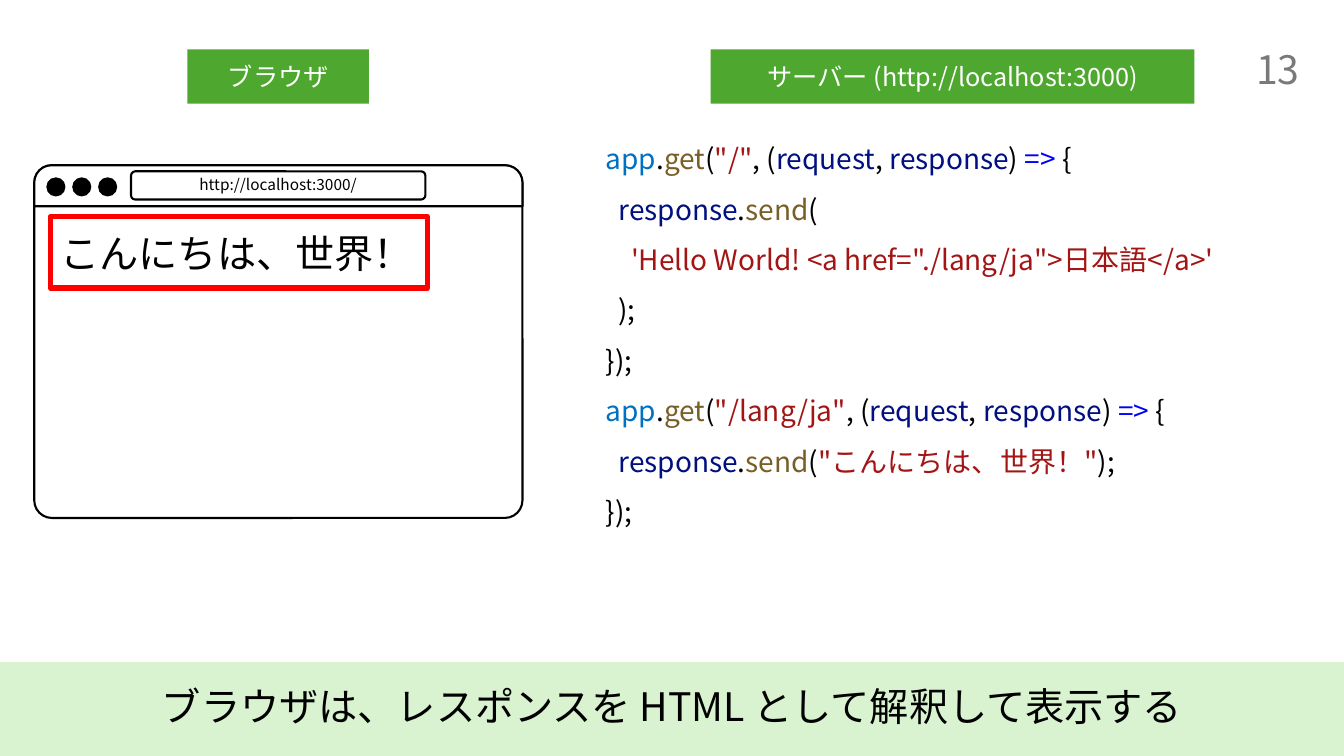
from lxml import etree
from pptx import Presentation
from pptx.dml.color import RGBColor
from pptx.enum.shapes import MSO_SHAPE
from pptx.enum.text import MSO_ANCHOR, PP_ALIGN
from pptx.oxml.ns import qn
from pptx.util import Inches, Pt

RECT, ROUND, OVAL = MSO_SHAPE.RECTANGLE, MSO_SHAPE.ROUNDED_RECTANGLE, MSO_SHAPE.OVAL
TAB = MSO_SHAPE.ROUND_2_SAME_RECTANGLE
LEFT, MID, RIGHT = PP_ALIGN.LEFT, PP_ALIGN.CENTER, PP_ALIGN.RIGHT
TOP, CENTER = MSO_ANCHOR.TOP, MSO_ANCHOR.MIDDLE
FACE = "Noto Sans CJK JP"
BLACK, WHITE, GREEN, PALE, RED = "000000", "FFFFFF", "4EA72E", "D9F2D0", "FF0000"
BLUE, BROWN, BRICK, NAVY, ARROW = "0070C1", "795E26", "A31515", "001080", "0000FF"

hue = RGBColor.from_string
deck = Presentation()
deck.slide_width, deck.slide_height = Inches(13.33), Inches(7.5)
slide = deck.slides.add_slide(deck.slide_layouts[6])
cell = deck.slide_width / 40
indent = Inches(0.125)


def draw(kind, box, fill=None, line=None, weight=1.5, bend=None):
    shape = slide.shapes.add_shape(kind, *[round(n * cell) for n in box])
    shape.shadow.inherit = False
    if fill:
        shape.fill.solid()
        shape.fill.fore_color.rgb = hue(fill)
    else:
        shape.fill.background()
    if line:
        shape.line.color.rgb = hue(line)
        shape.line.width = Pt(weight)
    else:
        shape.line.fill.background()
    if bend is not None:
        shape.adjustments[0] = bend
    return shape


def write(shape, lines, size, align=MID, anchor=CENTER, space=1.0):
    frame = shape.text_frame
    frame.word_wrap = True
    frame.vertical_anchor = anchor
    frame.margin_left = frame.margin_right = frame.margin_top = frame.margin_bottom = 0
    for row, (depth, parts) in enumerate(lines):
        para = frame.paragraphs[0] if row == 0 else frame.add_paragraph()
        para.alignment, para.line_spacing = align, space
        para._p.get_or_add_pPr().set("marL", str(round(depth * indent)))
        para.font.size, para.font.name = Pt(size), FACE
        etree.SubElement(para.font._element, qn("a:ea"), typeface=FACE)
        for text, ink in parts:
            run = para.add_run()
            run.text = text
            run.font.color.rgb = hue(ink)


draw(ROUND, (1.02, 4.92, 14.53, 10.5), WHITE, BLACK, bend=0.05)
draw(TAB, (1.02, 4.92, 14.53, 1.22), WHITE, BLACK, bend=0.42)
for dot in range(3):
    draw(OVAL, (1.38 + 0.77 * dot, 5.28, 0.57, 0.57), BLACK)
field = draw(ROUND, (3.9, 5.1, 8.76, 0.84), WHITE, BLACK, bend=0.15)
write(field, [(0, [("http://localhost:3000/", BLACK)])], 11, space=0.9)

for left, width, title in (
    (5.58, 5.4, "ブラウザ"),
    (21.15, 14.4, "サーバー (http://localhost:3000)"),
):
    write(draw(RECT, (left, 1.47, width, 1.62), GREEN), [(0, [(title, WHITE)])], 18)

frame = draw(RECT, (1.5, 6.45, 11.22, 2.13), line=RED, weight=4)
write(frame, [(0.8, [("こんにちは、世界！", BLACK)])], 28, LEFT)

band = draw(RECT, (0, 19.71, 40, 2.79), PALE)
write(band, [(0, [("ブラウザは、レスポンスを HTML として解釈して表示する", BLACK)])], 28, space=0.9)

send = [("response", NAVY), (".", BLACK), ("send", BROWN), ("(", BLACK)]
bodies = {
    '"/"': [
        (1, send),
        (2, [("'Hello World! <a href=\"./lang/ja\">日本語</a>'", BRICK)]),
        (1, [(");", BLACK)]),
    ],
    '"/lang/ja"': [(1, send + [('"こんにちは、世界！"', BRICK), (");", BLACK)])],
}
code = []
for route, body in bodies.items():
    head = [
        ("app", BLUE), (".", BLACK), ("get", BROWN), ("(", BLACK), (route, BRICK),
        (", (", BLACK), ("request", NAVY), (", ", BLACK), ("response", NAVY),
        (") ", BLACK), ("=>", ARROW), (" {", BLACK),
    ]
    code += [(0, head), *body, (0, [("});", BLACK)])]

for box, lines, size, align, anchor, space in (
    ((18.03, 3.72, 20.6, 11.94), code, 20, LEFT, TOP, 1.5),
    ((37, 1.2, 1.68, 1.71), [(0, [("13", "797979")])], 28, RIGHT, CENTER, 1.0),
):
    note = slide.shapes.add_textbox(*[round(n * cell) for n in box])
    write(note, lines, size, align, anchor, space)

deck.save("out.pptx")
